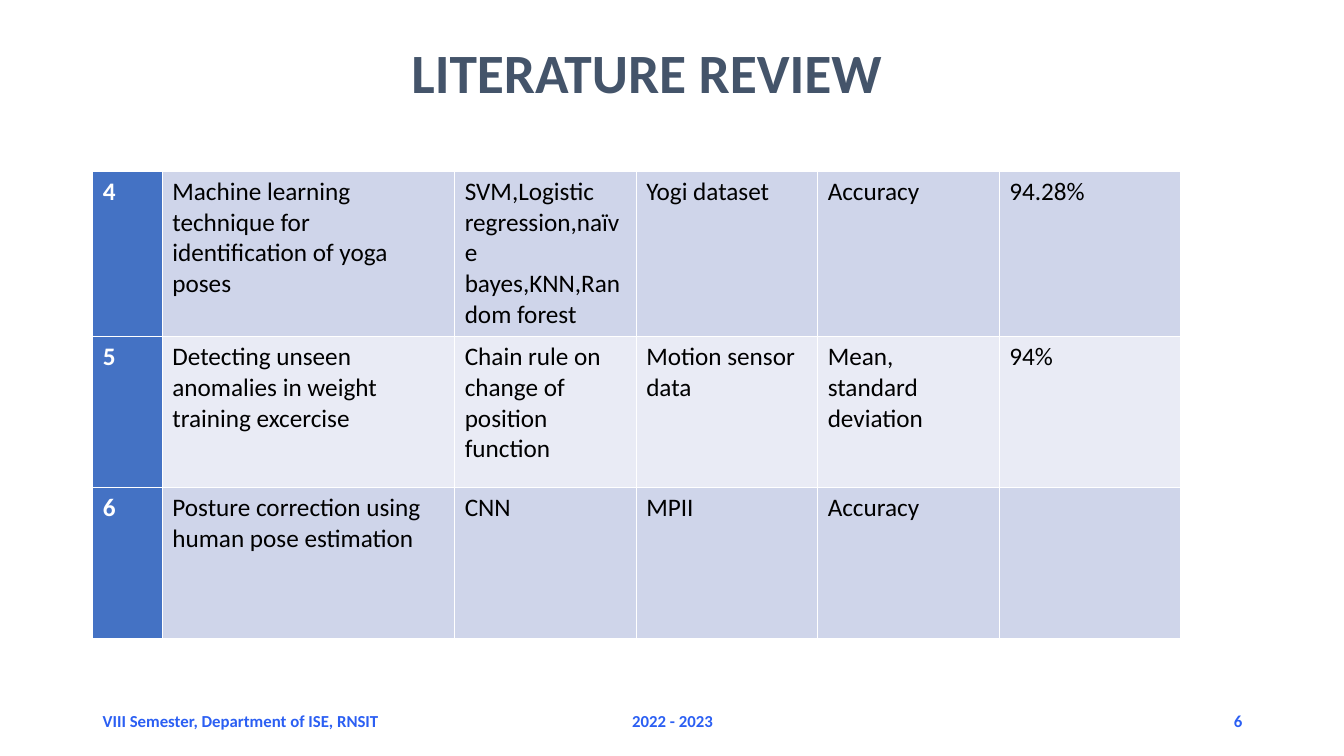
from pptx import Presentation
from pptx.dml.color import RGBColor
from pptx.enum.text import MSO_ANCHOR, MSO_AUTO_SIZE, PP_ALIGN
from pptx.oxml import parse_xml
from pptx.oxml.ns import nsdecls
from pptx.util import Inches, Pt

THEME = {
    "font": "Calibri",
    "title": {"size": 39.6, "color": "44546A", "bold": True},
    "footer": {"size": 12, "color": "2B5FF3", "bold": True},
    "number": {"size": 18, "color": "FFFFFF", "bold": True},
    "body": {"size": 18, "color": "000000", "bold": False},
    "number_fill": "4472C4",
    "bands": ["CFD5EA", "E9EBF5"],
    "border": "FFFFFF",
}
LEFT = 0.92


def write(text_frame, text, style, alignment=PP_ALIGN.LEFT):
    text_frame.text = text
    paragraph = text_frame.paragraphs[0]
    paragraph.alignment = alignment
    formats = {"name": THEME["font"], "size": Pt(style["size"]), "bold": style["bold"]}
    for attribute, value in formats.items():
        setattr(paragraph.font, attribute, value)
    for run in paragraph.runs:
        for attribute, value in formats.items():
            setattr(run.font, attribute, value)
        run.font.color.rgb = RGBColor.from_string(style["color"])
    return paragraph


def add_borders(cell):
    properties = cell._tc.get_or_add_tcPr()
    for index, side in enumerate(("lnL", "lnR", "lnT", "lnB")):
        properties.insert(index, parse_xml(
            f'<a:{side} {nsdecls("a")} w="12700"><a:solidFill>'
            f'<a:srgbClr val="{THEME["border"]}"/></a:solidFill></a:{side}>'))


presentation = Presentation()
presentation.slide_width = Inches(13.33)
presentation.slide_height = Inches(7.5)
slide = presentation.slides.add_slide(presentation.slide_layouts[5])

# Title, indented from the left margin
title = slide.shapes.title
title_box = {"left": LEFT, "top": 0.4, "width": 11.5, "height": 0.76}
for attribute, value in title_box.items():
    setattr(title, attribute, Inches(value))
title_format = {"margin_left": Inches(3.16), "vertical_anchor": MSO_ANCHOR.TOP,
                "auto_size": MSO_AUTO_SIZE.NONE, "word_wrap": True}
for attribute, value in title_format.items():
    setattr(title.text_frame, attribute, value)
write(title.text_frame, "LITERATURE REVIEW", THEME["title"]).line_spacing = 0.9

# Literature table
papers = [
    ["4", "Machine learning technique for identification of yoga poses",
     "SVM,Logistic regression,naïve bayes,KNN,Random forest",
     "Yogi dataset", "Accuracy", "94.28%"],
    ["5", "Detecting unseen anomalies in weight training excercise",
     "Chain rule on change of position function",
     "Motion sensor data", "Mean, standard deviation", "94%"],
    ["6", "Posture correction using human pose estimation",
     "CNN", "MPII", "Accuracy", ""],
]
column_widths = [0.69, 2.9] + [1.8] * 4
row_heights = [1.64, 1.5, 1.5]
table = slide.shapes.add_table(
    len(papers), len(column_widths), Inches(LEFT), Inches(1.7),
    Inches(sum(column_widths)), Inches(sum(row_heights))).table
table.first_row = False
table.first_col = True
for column, width in zip(table.columns, column_widths):
    column.width = Inches(width)
for row_index, (paper, height) in enumerate(zip(papers, row_heights)):
    table.rows[row_index].height = Inches(height)
    for column_index, text in enumerate(paper):
        is_number = column_index == 0
        cell = table.cell(row_index, column_index)
        write(cell.text_frame, text, THEME["number" if is_number else "body"])
        fill = THEME["number_fill"] if is_number else THEME["bands"][row_index % 2]
        cell.fill.solid()
        cell.fill.fore_color.rgb = RGBColor.from_string(fill)
        add_borders(cell)

# Footer: department, year and slide number
footers = [
    (LEFT, 3.5, "VIII Semester, Department of ISE, RNSIT", PP_ALIGN.LEFT),
    (4.42, 4.5, "2022 - 2023", PP_ALIGN.CENTER),
    (9.42, 3, "6", PP_ALIGN.RIGHT),
]
for left, width, text, alignment in footers:
    footer = slide.shapes.add_textbox(Inches(left), Inches(6.95), Inches(width), Inches(0.4))
    footer.text_frame.word_wrap = True
    footer.text_frame.vertical_anchor = MSO_ANCHOR.MIDDLE
    write(footer.text_frame, text, THEME["footer"], alignment)

presentation.save("out.pptx")
